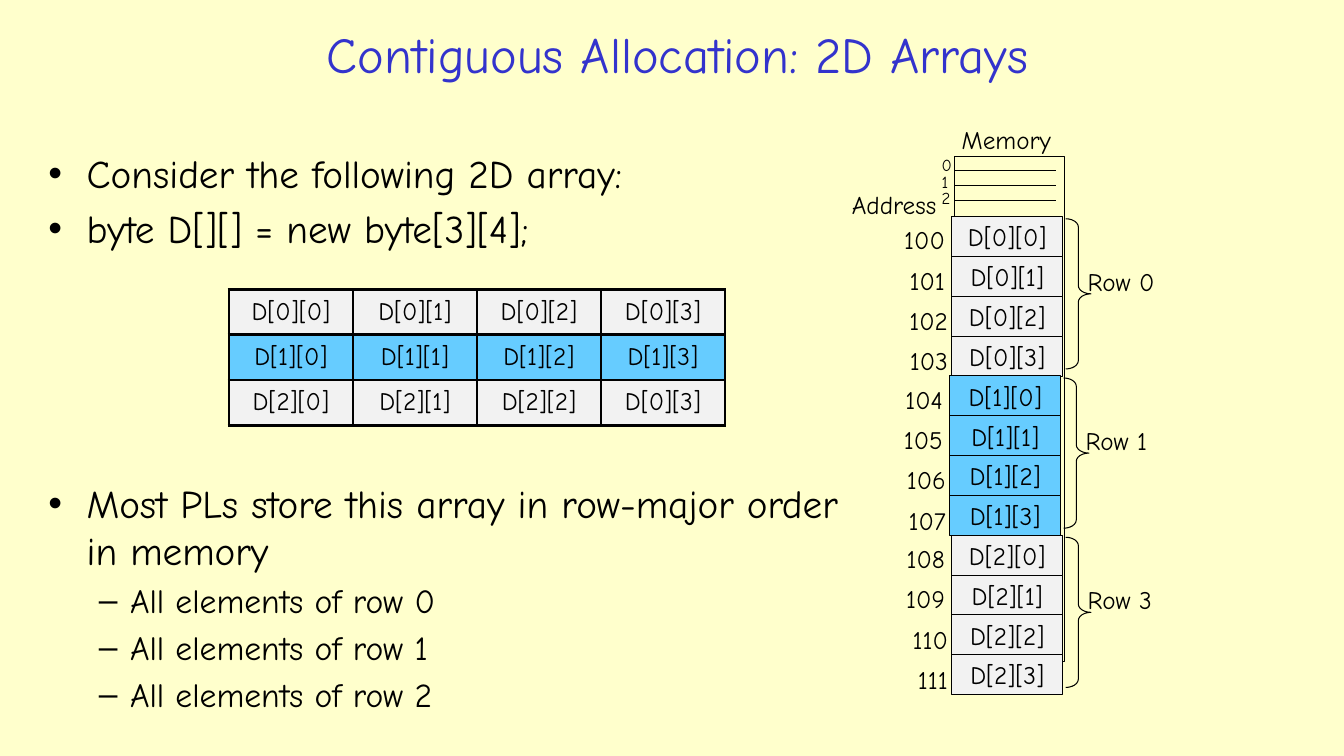
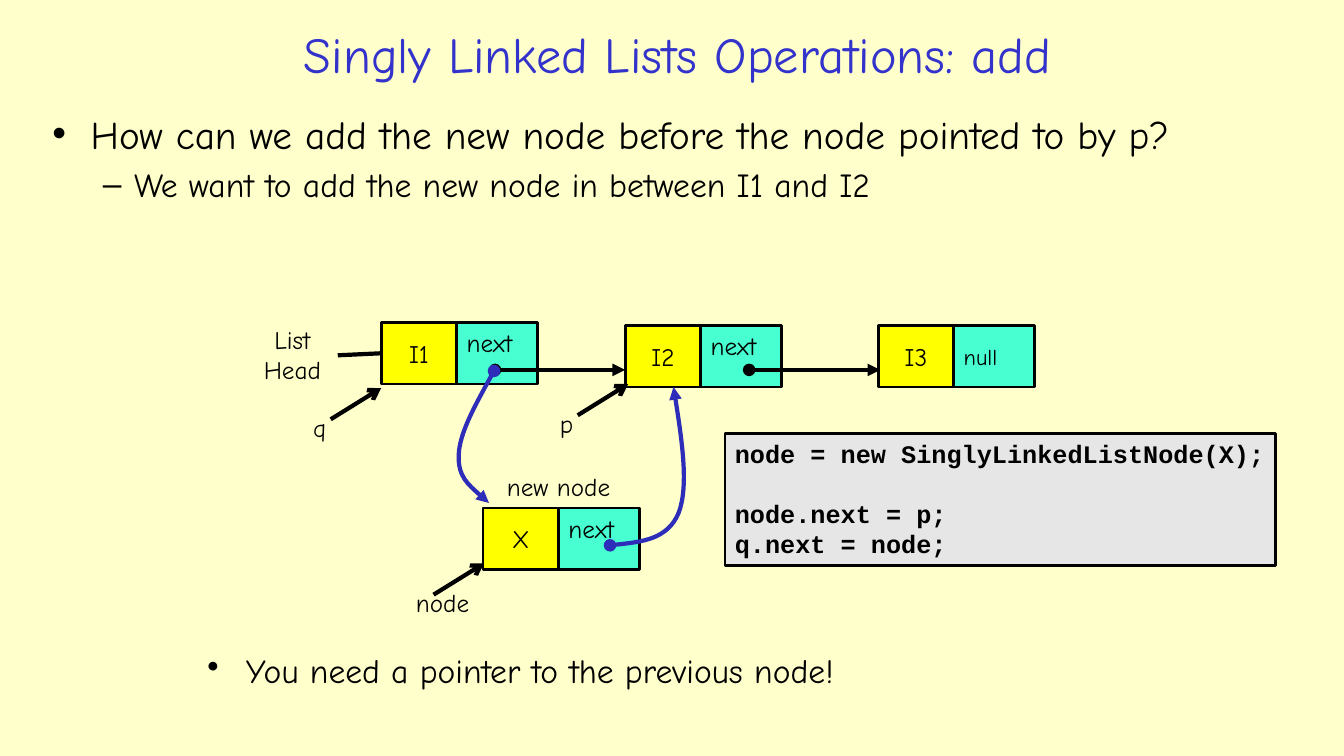
from itertools import product

from lxml.etree import SubElement
from pptx import Presentation
from pptx.dml.color import RGBColor
from pptx.enum.shapes import MSO_CONNECTOR, MSO_SHAPE
from pptx.enum.text import MSO_ANCHOR, MSO_AUTO_SIZE, PP_ALIGN
from pptx.oxml.ns import qn
from pptx.util import Inches, Pt

COLORS = {
    "background": "FFFFCC",
    "title": "3333CC",
    "text": "000000",
    "cell": "F2F2F2",
    "highlight": "66CCFF",
    "item": "FFFF00",
    "next": "47FFD1",
    "code": "E6E6E6",
    "new_link": "2D2DB9",
}
FONT = "Comic Neue"
CODE_FONT = "Courier New"
BULLETS = [("•", 0.38, -0.38), ("–", 0.81, -0.31)]


def rgb(name):
    return RGBColor.from_string(COLORS[name])


class SlideBuilder:
    def __init__(self):
        self.deck = Presentation()
        self.deck.slide_width = Inches(13.33)
        self.deck.slide_height = Inches(7.5)
        fill = self.deck.slide_master.background.fill
        fill.solid()
        fill.fore_color.rgb = rgb("background")
        self.layout = self.deck.slide_layouts[1]
        self.place(self.layout.placeholders[0], 2, 0.15, 9.44, 0.76)
        self.page = None

    def place(self, shape, left, top, width, height):
        shape.left, shape.top = Inches(left), Inches(top)
        shape.width, shape.height = Inches(width), Inches(height)

    def add_page(self, title):
        self.page = self.deck.slides.add_slide(self.layout)
        frame = self.page.shapes.title.text_frame
        frame.vertical_anchor = MSO_ANCHOR.MIDDLE
        self.add_text(frame.paragraphs[0], title, 36, "title", PP_ALIGN.CENTER)

    def add_text(self, para, text, size, color="text", align=PP_ALIGN.LEFT,
                 font=FONT, bold=False):
        para.alignment = align
        span = para.add_run()
        span.text = text
        span.font.name = font
        span.font.size = Pt(size)
        span.font.bold = bold
        span.font.color.rgb = rgb(color)

    def add_lines(self, frame, lines, size, align=PP_ALIGN.LEFT, **style):
        frame.word_wrap = True
        for index, line in enumerate(lines):
            para = frame.paragraphs[0] if index == 0 else frame.add_paragraph()
            self.add_text(para, line, size, align=align, **style)

    def bullets(self, frame, items):
        """Fill a frame with (text, level, size, space before) items."""
        frame.word_wrap = True
        frame.auto_size = MSO_AUTO_SIZE.NONE
        for index, (text, level, size, gap) in enumerate(items):
            para = frame.paragraphs[0] if index == 0 else frame.add_paragraph()
            mark, margin, indent = BULLETS[level]
            para.level = level
            para.space_before = Pt(gap)
            properties = para._p.get_or_add_pPr()
            properties.set("marL", str(Inches(margin)))
            properties.set("indent", str(Inches(indent)))
            SubElement(properties, qn("a:buChar"), char=mark)
            self.add_text(para, text, size)

    def body(self, at, items):
        box = self.page.placeholders[1]
        self.place(box, *at)
        self.bullets(box.text_frame, items)

    def text_box(self, left, top, width, height):
        return self.page.shapes.add_textbox(
            Inches(left), Inches(top), Inches(width), Inches(height))

    def label(self, text, left, top, width, size=18, align=PP_ALIGN.LEFT,
              height=0.4):
        box = self.text_box(left, top, width, height)
        self.add_lines(box.text_frame, text.split("\n"), size, align)
        return box

    def outline(self, shape, width, color="text"):
        shape.line.color.rgb = rgb(color)
        shape.line.width = Pt(width)

    def shape(self, left, top, width, height, fill=None, line=0.75,
              kind=MSO_SHAPE.RECTANGLE):
        shape = self.page.shapes.add_shape(
            kind, Inches(left), Inches(top), Inches(width), Inches(height))
        shape.shadow.inherit = False
        if fill:
            shape.fill.solid()
            shape.fill.fore_color.rgb = rgb(fill)
        else:
            shape.fill.background()
        self.outline(shape, line)
        return shape

    def text_shape(self, text, at, fill, line=0.75, size=18,
                   align=PP_ALIGN.CENTER, anchor=MSO_ANCHOR.MIDDLE):
        shape = self.shape(*at, fill, line)
        shape.text_frame.vertical_anchor = anchor
        self.add_lines(shape.text_frame, [text], size, align)
        return shape

    def brace(self, left, top, width, height):
        brace = self.shape(left, top, width, height, kind=MSO_SHAPE.RIGHT_BRACE)
        brace.adjustments[0] = 0.33
        brace.adjustments[1] = 0.5

    def line_ends(self, shape, head, tail):
        line = shape.element.spPr.find(qn("a:ln"))
        for tag, kind in (("a:headEnd", head), ("a:tailEnd", tail)):
            if kind:
                SubElement(line, qn(tag), type=kind)

    def line(self, start, end, width=0.75, head=None, tail=None):
        line = self.page.shapes.add_connector(
            MSO_CONNECTOR.STRAIGHT, *map(Inches, (*start, *end)))
        self.outline(line, width)
        self.line_ends(line, head, tail)
        SubElement(line.element.spPr, qn("a:effectLst"))
        return line

    def curve(self, start, *points):
        """Draw a Bézier link; each three points make one segment."""
        builder = self.page.shapes.build_freeform(*map(Inches, start))
        builder.add_line_segments(
            [tuple(map(Inches, point)) for point in points], close=False)
        curve = builder.convert_to_shape()
        curve.shadow.inherit = False
        curve.fill.background()
        self.outline(curve, 3, "new_link")
        self.line_ends(curve, "oval", "triangle")
        segments = list(curve.element.iter(qn("a:lnTo")))
        for index, segment in enumerate(segments):
            outline = segment.getparent()
            if index % 3 == 0:
                bezier = SubElement(outline, qn("a:cubicBezTo"))
            bezier.append(segment[0])
            outline.remove(segment)

    def table(self, left, top, column_width, row_height, rows, fills):
        columns = len(rows[0])
        table = self.page.shapes.add_table(
            len(rows), columns, Inches(left), Inches(top),
            Inches(column_width * columns), Inches(row_height * len(rows))).table
        table.first_row = table.horz_banding = False
        for row, column in product(range(len(rows)), range(columns)):
            cell = table.cell(row, column)
            cell.vertical_anchor = MSO_ANCHOR.MIDDLE
            self.add_text(cell.text_frame.paragraphs[0], rows[row][column], 18,
                          align=PP_ALIGN.CENTER)
            properties = cell._tc.get_or_add_tcPr()
            for side in ("a:lnL", "a:lnR", "a:lnT", "a:lnB"):
                border = SubElement(properties, qn(side), w=str(Pt(2)))
                paint = SubElement(border, qn("a:solidFill"))
                SubElement(paint, qn("a:srgbClr"), val=COLORS["text"])
            cell.fill.solid()
            cell.fill.fore_color.rgb = rgb(fills[row])

    def node(self, left, top, item, link, **link_style):
        """Draw a list node and return its item cell."""
        self.text_shape(link, (left + 0.75, top, 0.8, 0.61), "next", 2,
                        align=PP_ALIGN.LEFT, **link_style)
        return self.text_shape(item, (left, top, 0.75, 0.61), "item", 2)

    def pointer(self, text, tip, offset=0.61):
        x, y = tip
        self.line((x - 0.5, y + 0.31), tip, 3, tail="arrow")
        self.label(text, x - offset - 0.45, y + 0.19, 0.9, align=PP_ALIGN.CENTER)


def add_array_page(slide):
    slide.add_page("Contiguous Allocation: 2D Arrays")
    slide.body((0.38, 1.43, 8.15, 5.99), [
        ("Consider the following 2D array:", 0, 28, 0),
        ("byte D[][] = new byte[3][4];", 0, 28, 5.6),
        ("Most PLs store this array in row-major order in memory", 0, 28, 163),
        ("All elements of row 0", 1, 24, 4.8),
        ("All elements of row 1", 1, 24, 4.8),
        ("All elements of row 2", 1, 24, 4.8),
    ])
    fills = ["cell", "highlight", "cell"]
    names = [[f"D[{row}][{column}]" for column in range(4)] for row in range(3)]
    slide.table(2.27, 2.87, 1.23, 0.45,
                names[:2] + [names[2][:3] + ["D[0][3]"]], fills)

    slide.shape(9.47, 1.55, 1.09, 5.01)
    slide.label("Memory", 9.44, 1.18, 1.3)
    slide.label("Address", 8.35, 1.83, 1.3)
    for slot in range(3):
        slide.label(str(slot), 9.24, 1.49 + 0.16 * slot, 0.4, 12, height=0.3)
        y = 1.69 + 0.15 * slot
        slide.line((9.47, y), (10.47, y))

    row_pitch = 1.58
    cell_pitch = row_pitch / 4
    for row, row_label in enumerate(["Row 0", "Row 1", "Row 3"]):
        shift = -0.02 if row == 1 else 0
        top = 2.15 + row_pitch * row
        for column, name in enumerate(names[row]):
            slide.text_shape(
                name, (9.44 + shift, top + cell_pitch * column, 1.1, 0.4),
                fills[row])
            right = 9.47 + shift + 0.03 * (column // 2)
            slide.label(str(100 + 4 * row + column), right - 0.8,
                        top + 0.03 + 0.4 * column, 0.8, align=PP_ALIGN.RIGHT)
        slide.brace(10.57 + shift, top + 0.02, 0.25, 1.49)
        slide.label(row_label, 10.69 + shift, top + 0.44, 1.1)


def add_list_page(slide):
    slide.add_page("Singly Linked Lists Operations: add")
    slide.body((0.42, 1.04, 12.52, 2.62), [
        ("How can we add the new node before the node pointed to by p?", 0, 28, 0),
        ("We want to add the new node in between I1 and I2", 1, 24, 4.8),
    ])
    top_text = {"anchor": MSO_ANCHOR.TOP}
    first = slide.node(3.78, 3.2, "I1", "next", **top_text)
    slide.node(6.2, 3.23, "I2", "next", **top_text)
    slide.node(8.71, 3.23, "I3", "null", size=16)
    slide.node(4.79, 5.04, "X", "next", **top_text)

    list_head = slide.label("List\nHead", 2.45, 3.17, 0.9,
                            align=PP_ALIGN.CENTER, height=0.71)
    head_link = slide.line((3.35, 3.53), (3.78, 3.51), 3)
    head_link.begin_connect(list_head, 3)
    head_link.end_connect(first, 1)
    for start, end in ((4.91, 6.2), (7.43, 8.73)):
        slide.line((start, 3.67), (end, 3.67), 3, "oval", "triangle")
    slide.pointer("q", (3.78, 3.85))
    slide.pointer("p", (6.23, 3.81))
    slide.pointer("node", (4.8, 5.59), 0.41)
    slide.label("new node", 4.84, 4.63, 1.4, align=PP_ALIGN.CENTER)

    code = slide.shape(7.19, 4.3, 5.46, 1.31, "code", 2)
    code.text_frame.vertical_anchor = MSO_ANCHOR.TOP
    slide.add_lines(code.text_frame, [
        "node = new SinglyLinkedListNode(X);",
        "node.next = p;",
        "q.next = node;",
    ], 18, font=CODE_FONT, bold=True)
    code.text_frame.paragraphs[1].space_before = Pt(21)

    note = slide.text_box(1.96, 6.4, 9.24, 0.81)
    slide.bullets(note.text_frame,
                  [("You need a pointer to the previous node!", 0, 24, 0)])
    slide.curve((4.9, 3.68), (4.73, 3.99), (4.56, 4.29), (4.55, 4.51),
                (4.54, 4.73), (4.7, 4.86), (4.85, 4.99))
    slide.curve((6.05, 5.41), (6.34, 5.38), (6.62, 5.35), (6.73, 5.09),
                (6.83, 4.83), (6.76, 4.33), (6.68, 3.84))


def main():
    slide = SlideBuilder()
    add_array_page(slide)
    add_list_page(slide)
    slide.deck.save("out.pptx")


if __name__ == "__main__":
    main()
